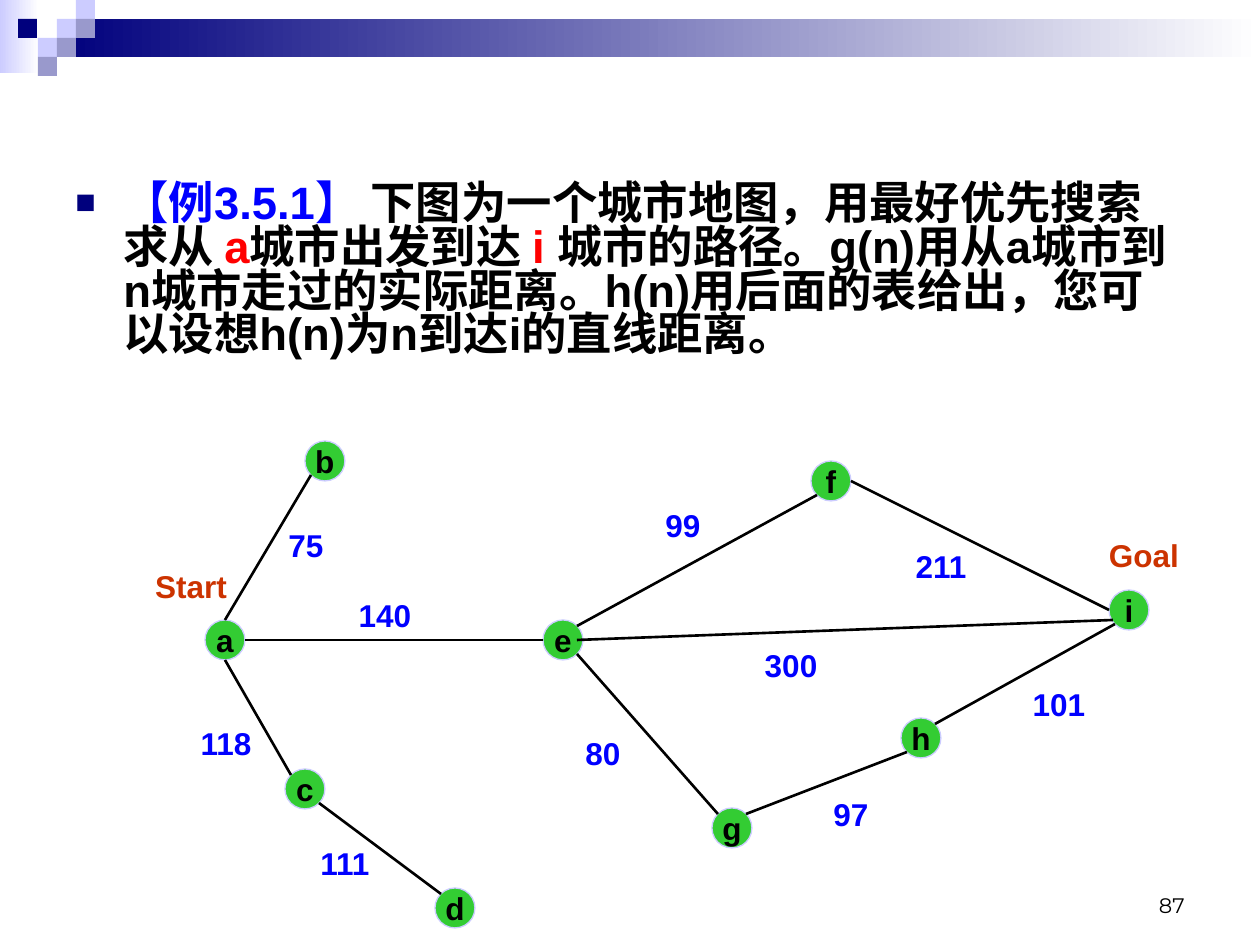
from lxml import etree
from pptx import Presentation, util as u
from pptx.dml.color import RGBColor
from pptx.enum import shapes, text
from pptx.oxml import ns

EMU_PER_PX = 914400 / 126
NAVY = RGBColor(0x00, 0x00, 0x7D)
LAVENDER = RGBColor(0xCC, 0xCC, 0xFF)
PERIWINKLE = RGBColor(0x99, 0x99, 0xCC)
WHITE = RGBColor(0xFF, 0xFF, 0xFF)
BLACK = RGBColor(0x00, 0x00, 0x00)
BLUE = RGBColor(0x00, 0x00, 0xFF)
RED = RGBColor(0xFF, 0x00, 0x00)
GREEN = RGBColor(0x33, 0xCC, 0x33)
RUST = RGBColor(0xCC, 0x33, 0x00)

TOP, MIDDLE, BOTTOM = (text.MSO_ANCHOR.TOP, text.MSO_ANCHOR.MIDDLE,
                       text.MSO_ANCHOR.BOTTOM)
LEFT, CENTER, RIGHT = text.PP_ALIGN.LEFT, text.PP_ALIGN.CENTER, text.PP_ALIGN.RIGHT


def px(*lengths):
    return [u.Emu(round(n * EMU_PER_PX)) for n in lengths]


def write(shape, runs, align, anchor, wrap=True, **font_format):
    """Fill a shape with one paragraph of (words, colour) runs."""
    frame = shape.text_frame
    frame.word_wrap, frame.vertical_anchor = wrap, anchor
    paragraph = frame.paragraphs[0]
    paragraph.alignment = align
    for words, colour in runs:
        run = paragraph.add_run()
        run.text = words
        run.font.color.rgb = colour
        for name, value in font_format.items():
            setattr(run.font, name, value)
    return paragraph


prs = Presentation()
prs.slide_width, prs.slide_height = px(1260, 945)
slide = prs.slides.add_slide(prs.slide_layouts[6])
items = slide.shapes

# Header: two fading bands, then the small squares
SQUARE = 19
header = [
    (0, 0, 39, 73, (LAVENDER, WHITE)),
    (57, 19, 1203, 38, (NAVY, WHITE)),
]
for x, y, colour in [(57, 19, LAVENDER), (76, 0, LAVENDER), (76, 19, PERIWINKLE),
                     (38, 38, LAVENDER), (18, 19, NAVY), (57, 38, PERIWINKLE),
                     (38, 57, PERIWINKLE)]:
    header.append((x, y, SQUARE, SQUARE, (colour,)))
for x, y, width, height, colours in header:
    block = items.add_shape(shapes.MSO_SHAPE.RECTANGLE, *px(x, y, width, height))
    block.shadow.inherit = False
    block.line.fill.background()
    if len(colours) == 1:
        block.fill.solid()
        block.fill.fore_color.rgb = colours[0]
    else:
        block.fill.gradient()
        block.fill.gradient_angle = 0
        for stop, colour, position in zip(block.fill.gradient_stops, colours, (0, 1)):
            stop.color.rgb, stop.position = colour, position

# Problem statement with a square bullet
statement = items.add_textbox(*px(63, 179, 1134, 242))
problem = write(statement, [
    ("【例3.5.1】 ", BLUE),
    ("下图为一个城市地图，用最好优先搜索求从 ", BLACK),
    ("a", RED),
    ("城市出发到达 ", BLACK),
    ("i ", RED),
    ("城市的路径。g(n)用从a城市到n城市走过的实际距离。"
     "h(n)用后面的表给出，您可以设想h(n)为n到达i的直线距离。", BLACK),
], LEFT, TOP, name="Arial", size=u.Pt(25.9), bold=True)
problem.line_spacing = 0.8
properties = problem._p.get_or_add_pPr()
indent = px(48)[0]
properties.set("marL", str(indent))
properties.set("indent", str(-indent))
bullet_colour = etree.SubElement(properties, ns.qn("a:buClr"))
etree.SubElement(bullet_colour, ns.qn("a:srgbClr"), val=str(NAVY))
etree.SubElement(properties, ns.qn("a:buSzPct"), val="75000")
etree.SubElement(properties, ns.qn("a:buFont"), typeface="Arial")
etree.SubElement(properties, ns.qn("a:buChar"), char="■")

# Cities, by centre
RADIUS = 20
map_font = {"name": "Arial", "size": u.Pt(18), "bold": True}
cities = {
    "a": (225, 640), "c": (305, 789), "e": (563, 640),
    "b": (325, 461), "f": (831, 481), "g": (732, 828),
    "h": (921, 738), "i": (1129, 610), "d": (455, 908),
}
for city, (x, y) in cities.items():
    node = items.add_shape(shapes.MSO_SHAPE.OVAL,
                           *px(x - RADIUS, y - RADIUS, 2 * RADIUS, 2 * RADIUS))
    node.shadow.inherit = False
    node.fill.solid()
    node.fill.fore_color.rgb = GREEN
    node.line.color.rgb = LAVENDER
    node.line.width = u.Pt(0.75)
    write(node, [(city, BLACK)], CENTER, MIDDLE, wrap=False, **map_font)

# Roads: city and offset from its centre at each end
DIAGONAL = 14
N, S, W, E = (0, -RADIUS), (0, RADIUS), (-RADIUS, 0), (RADIUS, 0)
NW, NE = (-DIAGONAL, -DIAGONAL), (DIAGONAL, -DIAGONAL)
SW, SE = (-DIAGONAL, DIAGONAL), (DIAGONAL, DIAGONAL)
roads = [
    ("a", N, "b", SW), ("a", S, "c", NW), ("c", SE, "d", NW),
    ("a", E, "e", W), ("e", NE, "f", SW), ("f", E, "i", W),
    ("e", SE, "g", NW), ("g", NE, "h", SW), ("h", NE, "i", SW),
    ("e", (DIAGONAL, 0), "i", (-16, 10)),
]
for start, leave, end, arrive in roads:
    (x1, y1), (x2, y2) = cities[start], cities[end]
    road = items.add_connector(
        shapes.MSO_CONNECTOR.STRAIGHT,
        *px(x1 + leave[0], y1 + leave[1], x2 + arrive[0], y2 + arrive[1]))
    road.line.color.rgb = BLACK
    road.line.width = u.Pt(1.5)
    etree.SubElement(road._element.spPr, ns.qn("a:effectLst"))

# Distances and end markers
labels = [
    ("75", 256, 520), ("140", 335, 590), ("118", 176, 718), ("111", 295, 838),
    ("99", 633, 500), ("80", 553, 728), ("97", 801, 789), ("211", 891, 541),
    ("101", 1009, 679), ("300", 741, 640), ("Start", 136, 561), ("Goal", 1089, 530),
]
for words, x, y in labels:
    width, colour = (100, BLUE) if words.isdigit() else (110, RUST)
    label = items.add_textbox(*px(x, y, width, 50))
    write(label, [(words, colour)], CENTER, TOP, **map_font)

# Page number
page_number = items.add_textbox(*px(903, 861, 294, 63))
write(page_number, [("87", BLACK)], RIGHT, BOTTOM, name="Montserrat", size=u.Pt(12))

prs.save("out.pptx")
